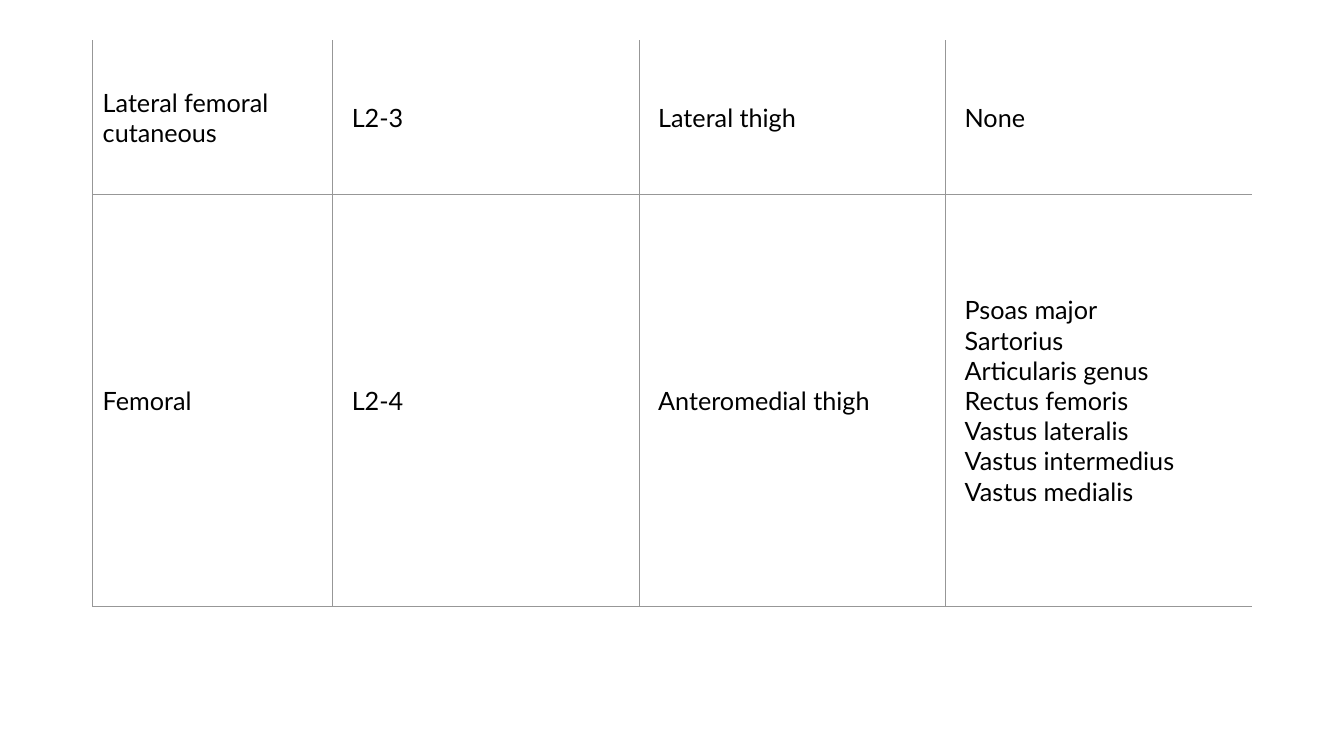
import pptx
import pptx.dml.color
import pptx.enum.text
import pptx.oxml
import pptx.oxml.ns
import pptx.util

Pt = pptx.util.Pt
GREY = "979797"
WIDTHS = [171.4, 218.9, 218.9, 218.9]
HEIGHTS = [110.2, 294.5]
MUSCLES = [
    "Psoas major", "Sartorius", "Articularis genus", "Rectus femoris",
    "Vastus lateralis", "Vastus intermedius", "Vastus medialis",
]
NERVES = [
    ["Lateral femoral cutaneous", "L2-3", "Lateral thigh", "None"],
    ["Femoral", "L2-4", "Anteromedial thigh", "\n".join(MUSCLES)],
]
FONT = {"name": "Lato", "size": Pt(18), "bold": False}


def paint(hue):
    return pptx.dml.color.RGBColor.from_string(hue)


def format_item(item, values):
    for name, value in values.items():
        setattr(item, name, value)


def add_edge(cell, side, width):
    """Draw one cell border; side is L, R, T or B and width 0 hides it."""
    fill = "<a:noFill/>"
    if width:
        fill = f'<a:solidFill><a:srgbClr val="{GREY}"/></a:solidFill>'
    space = pptx.oxml.ns.nsdecls("a")
    edge = f'<a:ln{side} {space} w="{Pt(width)}">{fill}</a:ln{side}>'
    cell._tc.get_or_add_tcPr().append(pptx.oxml.parse_xml(edge))


def fill_cell(cell, text, first, edges):
    cell.text = text
    format_item(cell, {
        "vertical_anchor": pptx.enum.text.MSO_ANCHOR.MIDDLE,
        "margin_left": Pt(7.2 if first else 13.7),
        "margin_right": Pt(13.7),
        "margin_top": Pt(10.8),
        "margin_bottom": Pt(10.8),
    })
    for side, width in edges.items():
        add_edge(cell, side, width)
    cell.fill.solid()
    cell.fill.fore_color.rgb = paint("FFFFFF")
    for para in cell.text_frame.paragraphs:
        for run in para.runs:
            format_item(run.font, FONT)
            run.font.color.rgb = paint("000000")


def add_grid(slide, left, top):
    frame = slide.shapes.add_table(
        len(HEIGHTS), len(WIDTHS), Pt(left), Pt(top),
        Pt(sum(WIDTHS)), Pt(sum(HEIGHTS)))
    table = frame.table
    format_item(table, {"first_row": False, "horz_banding": False})
    for col, width in zip(table.columns, WIDTHS):
        col.width = Pt(width)
    for row, height in zip(table.rows, HEIGHTS):
        row.height = Pt(height)
    last = len(WIDTHS) - 1
    for y, nerve in enumerate(NERVES):
        for x, text in enumerate(nerve):
            edges = {
                "L": 1 if x == 0 else 0.75,
                "R": 0 if x == last else 0.75,
                "T": 0 if y == 0 else 0.75,
                "B": 0.75,
            }
            fill_cell(table.cell(y, x), text, x == 0, edges)


def main():
    deck = pptx.Presentation()
    format_item(deck, {"slide_width": Pt(960), "slide_height": Pt(540)})
    slide = deck.slides.add_slide(deck.slide_layouts[6])
    add_grid(slide, 66.2, 28.8)
    deck.save("out.pptx")


if __name__ == "__main__":
    main()
